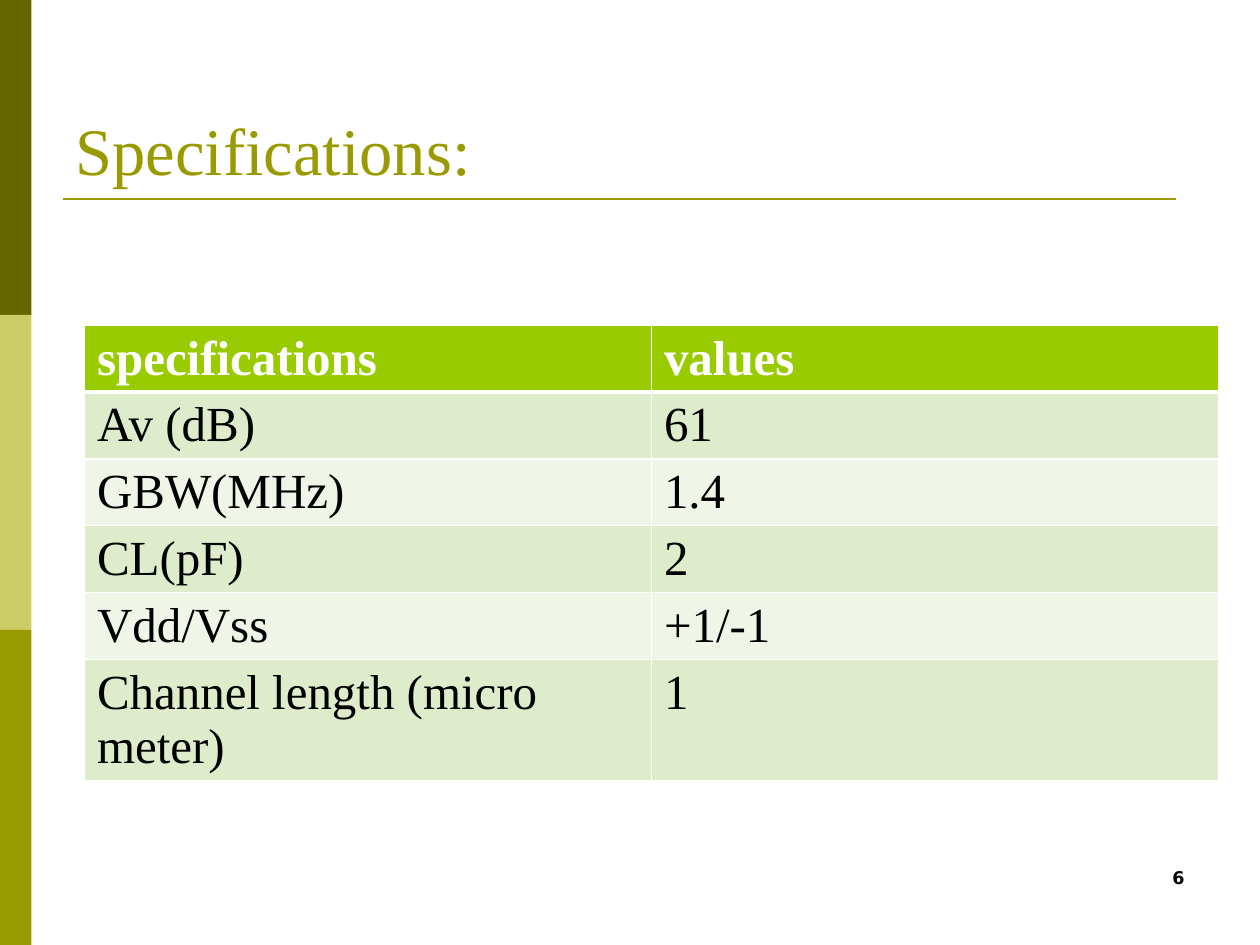
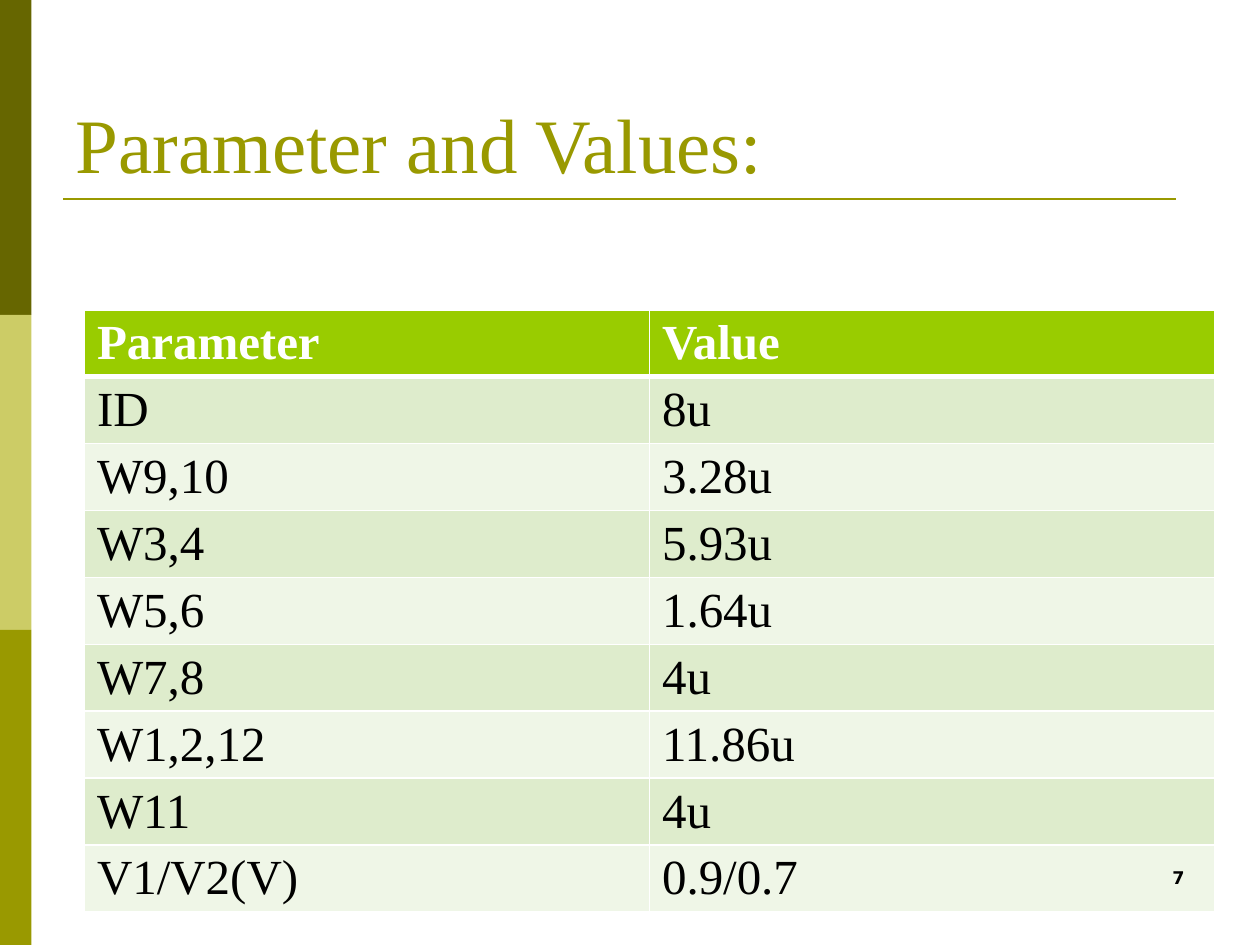
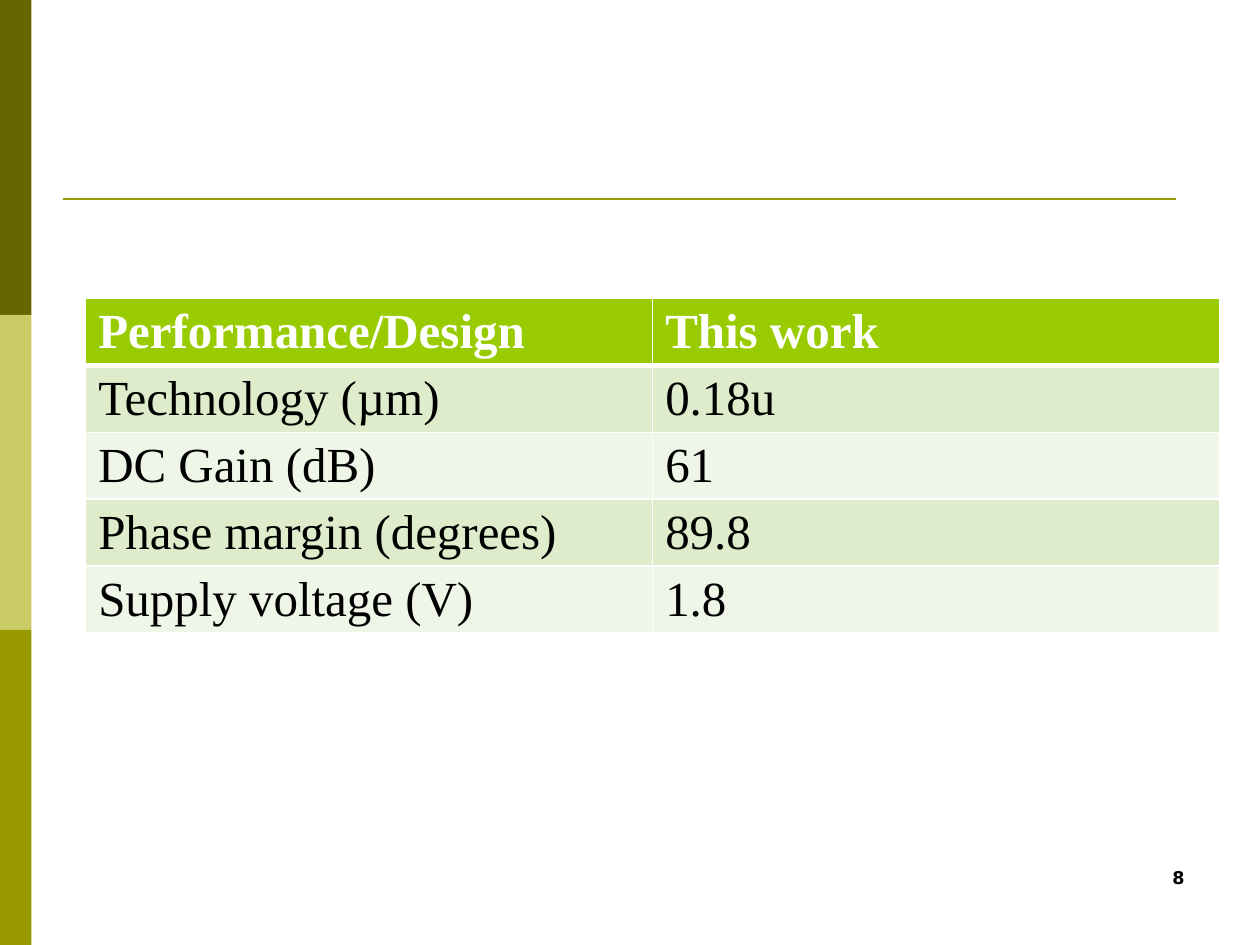
from lxml import etree
from pptx import Presentation
from pptx.dml.color import RGBColor
from pptx.enum.shapes import MSO_CONNECTOR, MSO_SHAPE
from pptx.enum.text import MSO_ANCHOR, MSO_AUTO_SIZE, PP_ALIGN
from pptx.oxml.ns import qn
from pptx.util import Inches, Pt

OLIVE_DARK = RGBColor(0x66, 0x66, 0x00)
OLIVE_LIGHT = RGBColor(0xCC, 0xCC, 0x66)
OLIVE = RGBColor(0x99, 0x99, 0x00)
HEADER_GREEN = RGBColor(0x99, 0xCC, 0x00)
ROW_DARK = RGBColor(0xDE, 0xEC, 0xCC)
ROW_LIGHT = RGBColor(0xEF, 0xF6, 0xE7)
WHITE = RGBColor(0xFF, 0xFF, 0xFF)
BLACK = RGBColor(0x00, 0x00, 0x00)

SERIF = "Times New Roman"
SANS = "DejaVu Sans"
BAND_HEIGHT = 2.5
ROW_HEIGHT = 0.41
TITLE_ONLY, BLANK = 5, 6

SPECIFICATIONS = [
    ("specifications", "values"),
    ("Av (dB)", "61"),
    ("GBW(MHz)", "1.4"),
    ("CL(pF)", "2"),
    ("Vdd/Vss", "+1/-1"),
    ("Channel length (micro meter)", "1"),
]
PARAMETERS = [
    ("Parameter", "Value"),
    ("ID", "8u"),
    ("W9,10", "3.28u"),
    ("W3,4", "5.93u"),
    ("W5,6", "1.64u"),
    ("W7,8", "4u"),
    ("W1,2,12", "11.86u"),
    ("W11", "4u"),
    ("V1/V2(V)", "0.9/0.7"),
]
PERFORMANCE = [
    ("Performance/Design", "This work"),
    ("Technology (µm)", "0.18u"),
    ("DC Gain (dB)", "61"),
    ("Phase margin (degrees)", "89.8"),
    ("Supply voltage (V)", "1.8"),
]


def style(p, font, size, color, bold=False):
    for r in p.runs:
        r.font.name = font
        r.font.size = Pt(size)
        r.font.color.rgb = color
        r.font.bold = bold


def add_side_bands(slide):
    for i, color in enumerate((OLIVE_DARK, OLIVE_LIGHT, OLIVE)):
        sp = slide.shapes.add_shape(
            MSO_SHAPE.RECTANGLE, 0, Inches(i * BAND_HEIGHT), Inches(0.25), Inches(BAND_HEIGHT))
        sp.shadow.inherit = False
        sp.fill.solid()
        sp.fill.fore_color.rgb = color
        sp.line.fill.background()


def add_title_rule(slide):
    line = slide.shapes.add_connector(
        MSO_CONNECTOR.STRAIGHT, Inches(0.5), Inches(1.58), Inches(9.33), Inches(1.58))
    line.line.color.rgb = OLIVE
    line.line.width = Pt(1.5)
    etree.SubElement(line.element.spPr, qn("a:effectLst"))


def add_title(slide, text, size):
    title = slide.shapes.title
    title.left, title.top = Inches(0.5), Inches(0.3)
    title.width, title.height = Inches(9), Inches(1.25)
    tf = title.text_frame
    tf.text = text
    tf.auto_size = MSO_AUTO_SIZE.NONE
    tf.vertical_anchor = MSO_ANCHOR.BOTTOM
    p = tf.paragraphs[0]
    p.alignment = PP_ALIGN.LEFT
    style(p, SERIF, size, OLIVE)


def add_page_number(slide, number):
    box = slide.shapes.add_textbox(Inches(7.17), Inches(6.83), Inches(2.33), Inches(0.5))
    tf = box.text_frame
    tf.word_wrap = True
    tf.text = str(number)
    p = tf.paragraphs[0]
    p.alignment = PP_ALIGN.RIGHT
    style(p, SANS, 10, BLACK, bold=True)


def set_borders(cell, top, bottom):
    """Draw white cell borders: 1 pt at the sides, the given points above and below."""
    tc_pr = cell._tc.get_or_add_tcPr()
    for side, width in (("L", 1), ("R", 1), ("T", top), ("B", bottom)):
        ln = etree.SubElement(tc_pr, qn(f"a:ln{side}"), w=str(Pt(width)))
        fill = etree.SubElement(ln, qn("a:solidFill"))
        etree.SubElement(fill, qn("a:srgbClr"), val=str(WHITE))


def add_value_table(slide, rows, left, top, width):
    table = slide.shapes.add_table(
        len(rows), 2, Inches(left), Inches(top), Inches(width),
        Inches(ROW_HEIGHT * len(rows))).table
    for i, row in enumerate(rows):
        header = i == 0
        if header:
            fill = HEADER_GREEN
        else:
            fill = ROW_DARK if i % 2 else ROW_LIGHT
        for j, text in enumerate(row):
            cell = table.cell(i, j)
            set_borders(cell, top=3 if i == 1 else 1, bottom=3 if header else 1)
            cell.fill.solid()
            cell.fill.fore_color.rgb = fill
            cell.text_frame.text = text
            style(cell.text_frame.paragraphs[0], SERIF, 28,
                  WHITE if header else BLACK, bold=header)


def add_table_slide(prs, number, rows, left, top, width, title=None, title_size=44):
    layout = prs.slide_layouts[TITLE_ONLY if title else BLANK]
    slide = prs.slides.add_slide(layout)
    add_side_bands(slide)
    add_title_rule(slide)
    if title:
        add_title(slide, title, title_size)
    add_value_table(slide, rows, left, top, width)
    add_page_number(slide, number)


def main():
    prs = Presentation()
    prs.slide_width, prs.slide_height = Inches(10), Inches(7.5)
    add_table_slide(prs, 6, SPECIFICATIONS, 0.67, 2.58, 9, "Specifications:", 38)
    add_table_slide(prs, 7, PARAMETERS, 0.67, 2.46, 8.97, "Parameter and Values:")
    add_table_slide(prs, 8, PERFORMANCE, 0.68, 2.37, 9)
    prs.save("out.pptx")


if __name__ == "__main__":
    main()
